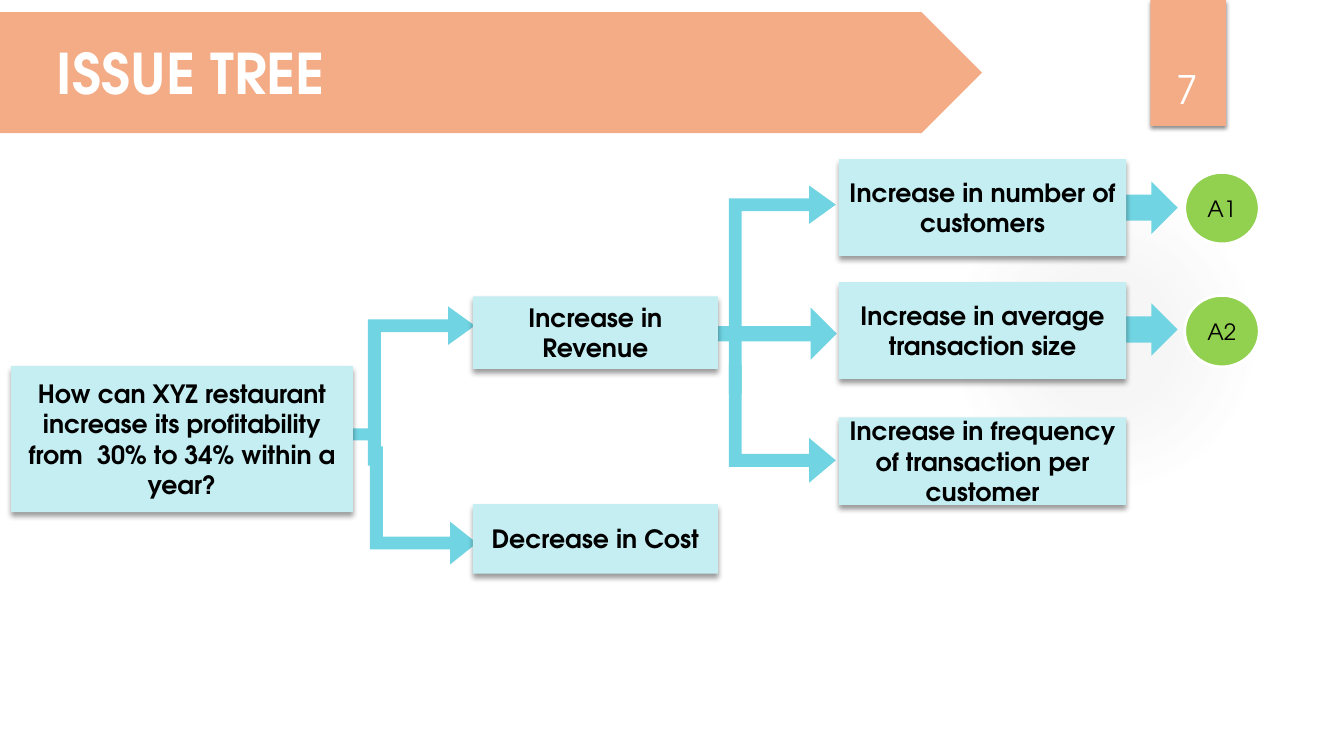
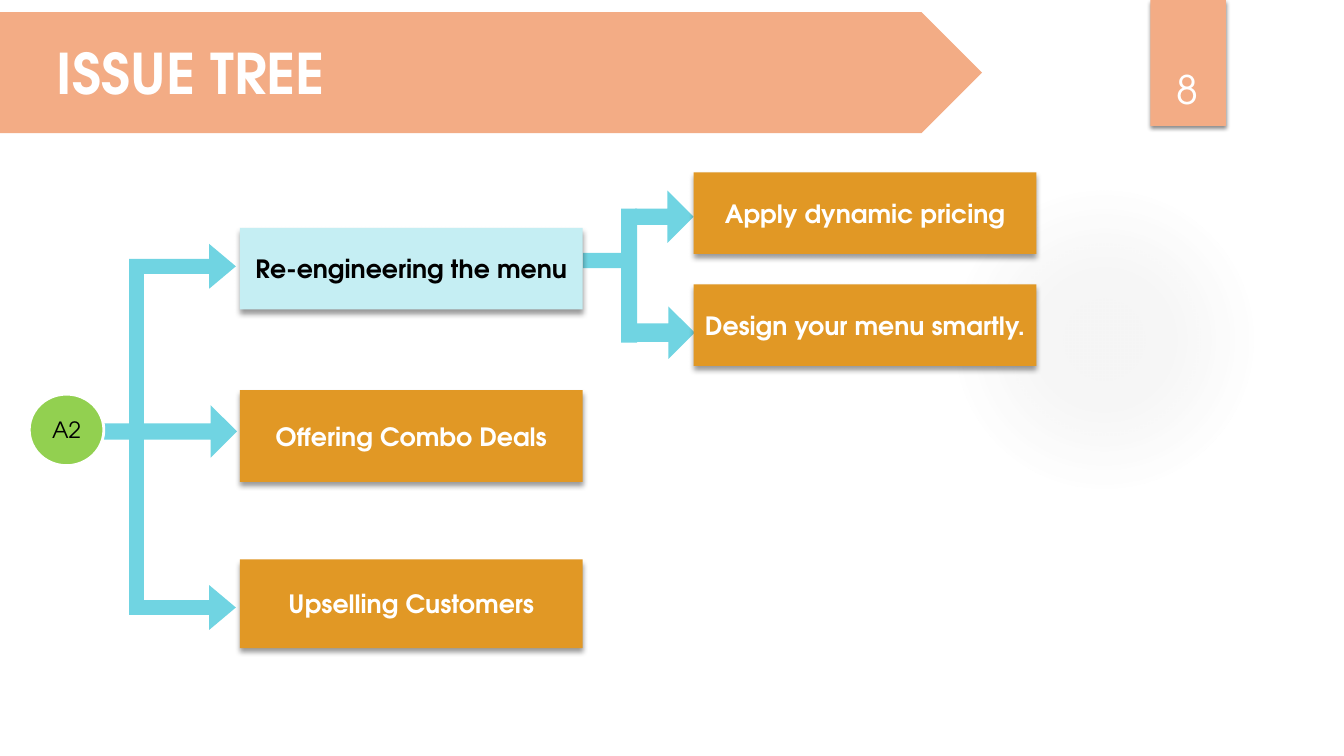
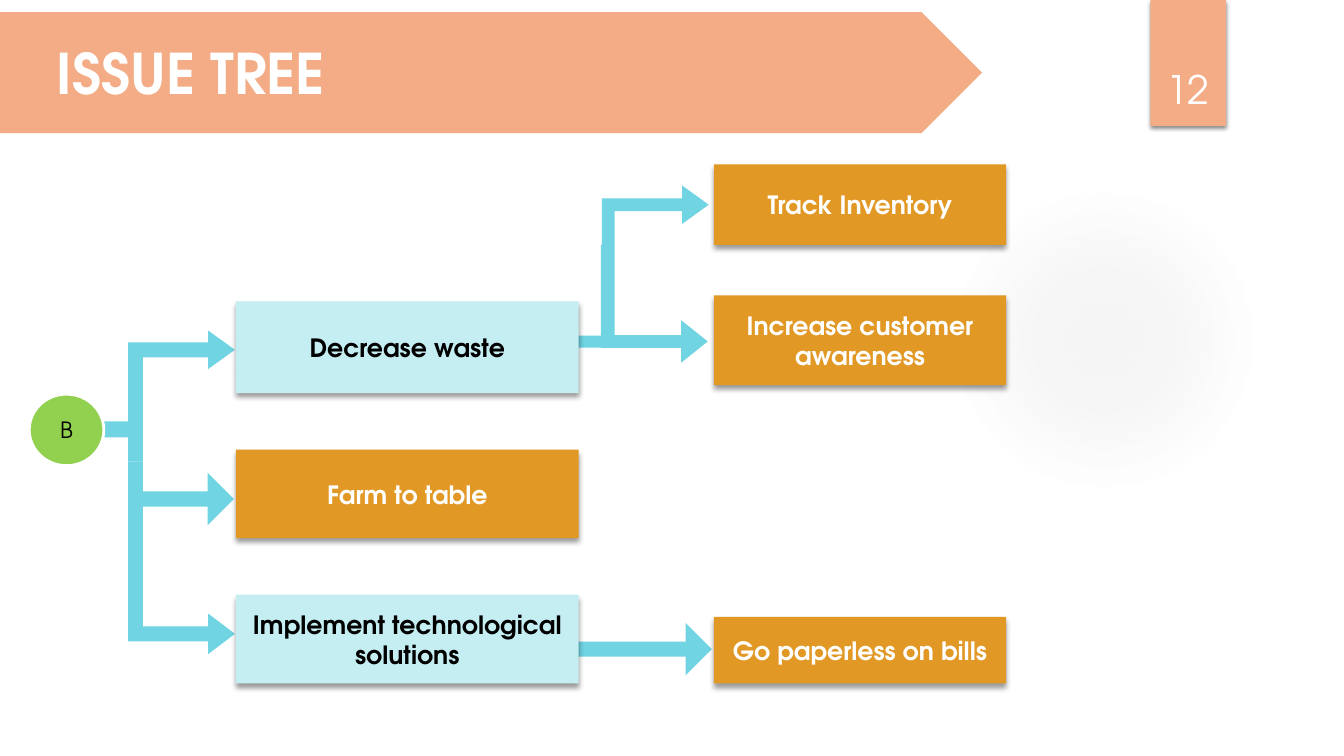
"""Build three issue-tree slides for a restaurant profitability case."""
from lxml import etree
from pptx import Presentation
from pptx import util as u
from pptx.dml.color import RGBColor
from pptx.enum import shapes, text
from pptx.oxml import ns

SALMON, AQUA, PALE, ORANGE, GREEN = "F3AC85", "70D4E2", "C5EEF3", "E19825", "92D050"
BLACK, WHITE, GREY = "000000", "FFFFFF", "848484"
FONT = "TeX Gyre Adventor"
MSO = shapes.MSO_SHAPE
ANCHOR = text.MSO_ANCHOR
CENTER, LEFT = text.PP_ALIGN.CENTER, text.PP_ALIGN.LEFT
A = ns.nsdecls("a")

TITLE = {"size": u.Pt(40), "bold": True}
NUMBER = {"size": u.Pt(28), "bold": False}
BOX = {"size": u.Pt(18), "bold": True}
BADGE = {"size": u.Pt(16), "bold": False}

BADGE_SIZE = (0.74, 0.71)
GLOW_STOPS = [(0, 7), (36, 6), (69, 0)]
TEXT_ON = {PALE: BLACK, ORANGE: WHITE}
KINDS = {
    "bar": (MSO.RECTANGLE, False),
    "right": (MSO.RIGHT_ARROW, False),
    "up": (MSO.BENT_ARROW, False),
    "down": (MSO.BENT_ARROW, True),
}

SLIDES = [
    {
        "number": "7",
        "arrows": [
            ("right", (7.03, 3.05, 1.27, 0.52), (0.29, 0.5)),
            ("up", (7.23, 1.84, 1.06, 2.07), (0.12, 0.18, 0.25, 0)),
            ("down", (7.23, 3.62, 1.06, 1.17), (0.12, 0.21, 0.25, 0)),
            ("bar", (3.29, 4.25, 0.48, 0.12), ()),
            ("up", (3.65, 3.04, 1.06, 1.58), (0.12, 0.18, 0.25, 0)),
            ("down", (3.67, 4.43, 1.06, 1.17), (0.12, 0.2, 0.25, 0)),
            ("right", (10.8, 1.8, 0.88, 0.52), (0.5, 0.5)),
            ("right", (10.8, 3.01, 0.88, 0.52), (0.5, 0.5)),
        ],
        "columns": [
            (0.11, 3.39, [
                (3.63, 1.45, PALE, "How can XYZ restaurant increase its profitability "
                                   "from  30% to 34% within a year?"),
            ]),
            (4.69, 2.43, [
                (2.94, 0.72, PALE, "Increase in Revenue"),
                (5, 0.69, PALE, "Decrease in Cost"),
            ]),
            (8.32, 2.85, [
                (1.58, 0.96, PALE, "Increase in number of customers"),
                (2.8, 0.96, PALE, "Increase in average transaction size"),
                (4.14, 0.87, PALE, "Increase in frequency of transaction per customer"),
            ]),
        ],
        "badges": [("A1", 11.75, 1.71), ("A2", 11.75, 2.93)],
    },
    {
        "number": "8",
        "arrows": [
            ("right", (0.93, 4.02, 1.42, 0.52), (0.31, 0.5)),
            ("up", (1.28, 2.42, 1.06, 2.27), (0.14, 0.21, 0.25, 0)),
            ("down", (1.28, 4.52, 1.06, 1.73), (0.14, 0.21, 0.25, 0)),
            ("bar", (5.78, 2.51, 0.38, 0.15), ()),
            ("bar", (6.16, 2.07, 0.16, 1.33), ()),
            ("right", (6.3, 1.89, 0.58, 0.52), (0.31, 0.5)),
            ("right", (6.32, 3.04, 0.57, 0.52), (0.35, 0.5)),
        ],
        "columns": [
            (2.38, 3.4, [
                (2.26, 0.81, PALE, "Re-engineering the menu"),
                (3.87, 0.91, ORANGE, "Offering Combo Deals"),
                (5.55, 0.88, ORANGE, "Upselling Customers"),
            ]),
            (6.88, 3.4, [
                (1.71, 0.81, ORANGE, "Apply dynamic pricing"),
                (2.82, 0.81, ORANGE, "Design your menu smartly."),
            ]),
        ],
        "badges": [("A2", 0.29, 3.91)],
    },
    {
        "number": "12",
        "arrows": [
            ("right", (5.68, 6.18, 1.38, 0.52), (0.29, 0.5)),
            ("bar", (5.6, 3.33, 0.48, 0.12), ()),
            ("up", (5.97, 1.84, 1.06, 1.58), (0.12, 0.18, 0.25, 0)),
            ("down", (5.96, 2.43, 1.06, 1.17), (0.12, 0.2, 0.25, 0)),
            ("bar", (0.97, 4.18, 0.43, 0.16), ()),
            ("right", (1.27, 4.69, 1.05, 0.52), (0.29, 0.5)),
            ("up", (1.27, 3.28, 1.06, 1.3), (0.14, 0.18, 0.25, 0)),
            ("down", (1.27, 4.58, 1.06, 1.91), (0.14, 0.19, 0.25, 0)),
        ],
        "columns": [
            (2.34, 3.4, [
                (2.99, 0.91, PALE, "Decrease waste"),
                (4.46, 0.88, ORANGE, "Farm to table"),
                (5.9, 0.88, PALE, "Implement technological solutions"),
            ]),
            (7.08, 2.9, [
                (1.63, 0.8, ORANGE, "Track Inventory"),
                (2.93, 0.89, ORANGE, "Increase customer awareness"),
                (6.12, 0.66, ORANGE, "Go paperless on bills"),
            ]),
        ],
        "badges": [("B", 0.29, 3.91)],
    },
]


def draw(s, kind, at, fill, shadow=None):
    """Add a filled shape; shadow is (opacity %, blur pt, distance pt)."""
    sp = s.shapes.add_shape(kind, *map(u.Inches, at))
    sp.fill.solid()
    sp.fill.fore_color.rgb = RGBColor.from_string(fill)
    sp.line.fill.background()
    sp.shadow.inherit = False
    if shadow:
        alpha, blur, dist = shadow
        effects = sp.element.spPr.find(ns.qn("a:effectLst"))
        effects.append(etree.fromstring(
            f'<a:outerShdw {A} blurRad="{u.Pt(blur)}" dist="{u.Pt(dist)}" dir="5400000" '
            f'rotWithShape="0"><a:srgbClr val="{BLACK}"><a:alpha val="{alpha * 1000}"/>'
            '</a:srgbClr></a:outerShdw>'))
    return sp


def write(sp, words, fmt, color, anchor=ANCHOR.MIDDLE, align=CENTER, wrap=True):
    """Put one formatted paragraph into a shape."""
    tf = sp.text_frame
    tf.word_wrap = wrap
    tf.vertical_anchor = anchor
    p = tf.paragraphs[0]
    p.alignment = align
    r = p.add_run()
    r.text = words
    r.font.name = FONT
    r.font.color.rgb = RGBColor.from_string(color)
    for name, value in fmt.items():
        setattr(r.font, name, value)


prs = Presentation()
prs.slide_width, prs.slide_height = u.Inches(13.33), u.Inches(7.5)

for spec_slide in SLIDES:
    s = prs.slides.add_slide(prs.slide_layouts[5])

    glow = draw(s, MSO.OVAL, (9.41, 1.83, 3.08, 3.08), GREY)
    stops = "".join(
        f'<a:gs pos="{pos * 1000}"><a:srgbClr val="{GREY}"><a:alpha val="{alpha * 1000}"/>'
        '</a:srgbClr></a:gs>' for pos, alpha in GLOW_STOPS)
    solid = glow.element.spPr.find(ns.qn("a:solidFill"))
    solid.getparent().replace(solid, etree.fromstring(
        f'<a:gradFill {A} rotWithShape="1"><a:gsLst>{stops}</a:gsLst><a:path path="circle">'
        '<a:fillToRect l="50000" t="50000" r="50000" b="50000"/></a:path></a:gradFill>'))

    draw(s, MSO.RECTANGLE, (11.41, 0, 0.75, 1.25), SALMON, (45, 3, 2))
    draw(s, MSO.PENTAGON, (0, 0.12, 9.74, 1.2), SALMON)

    title = s.shapes.title
    title.left, title.top, title.width, title.height = map(u.Inches, (0.46, 0.33, 2.89, 0.77))
    write(title, "ISSUE TREE", TITLE, WHITE, ANCHOR.TOP, LEFT, wrap=False)
    title.text_frame.auto_size = text.MSO_AUTO_SIZE.SHAPE_TO_FIT_TEXT
    title.element.getparent().append(title.element)

    number = s.shapes.add_textbox(*map(u.Inches, (11.32, 0.32, 0.92, 0.84)))
    write(number, spec_slide["number"], NUMBER, WHITE, ANCHOR.BOTTOM)

    for kind, at, adjustments in spec_slide["arrows"]:
        preset, flipped = KINDS[kind]
        arrow = draw(s, preset, at, AQUA)
        for i, value in enumerate(adjustments):
            arrow.adjustments[i] = value
        if flipped:
            arrow.element.spPr.find(ns.qn("a:xfrm")).set("flipV", "1")

    for left, width, boxes in spec_slide["columns"]:
        for top, height, fill, words in boxes:
            box = draw(s, MSO.RECTANGLE, (left, top, width, height), fill, (40, 4, 3))
            write(box, words, BOX, TEXT_ON[fill])

    for label, left, top in spec_slide["badges"]:
        badge = draw(s, MSO.OVAL, (left, top, *BADGE_SIZE), GREEN)
        badge.line.color.rgb = RGBColor.from_string(WHITE)
        badge.line.width = u.Pt(2)
        write(badge, label, BADGE, BLACK)

prs.save("out.pptx")
